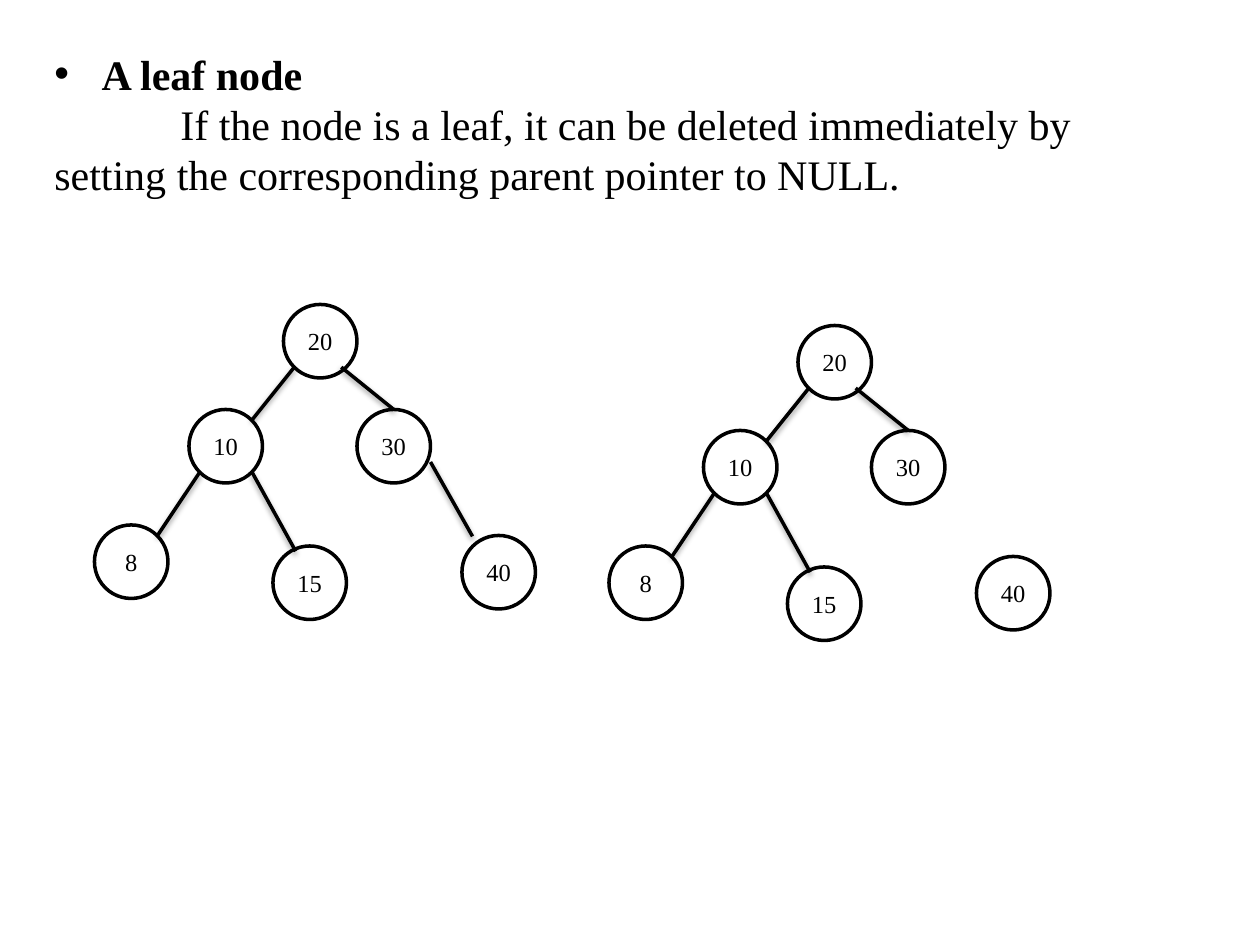
"""Build a slide on deleting a leaf node from a binary search tree."""
from lxml.etree import SubElement
from pptx import Presentation
from pptx.dml.color import RGBColor
from pptx.enum.shapes import MSO_CONNECTOR, MSO_SHAPE
from pptx.enum.text import MSO_ANCHOR, PP_ALIGN
from pptx.oxml.ns import qn
from pptx.util import Pt

COLORS = {"ink": "000000"}
FONT = "Times New Roman"
INK = RGBColor.from_string(COLORS["ink"])
SIZE = 42
NODES = [("20", 162, 174), ("10", 108, 234), ("30", 204, 234),
         ("8", 54, 300), ("15", 156, 312), ("40", 264, 306)]
EDGES = [(168.2, 209.8, 144, 240), (114.2, 269.8, 90, 306),
         (195, 209.8, 225, 234), (144, 269.8, 169, 315),
         (246, 264, 270, 306.5)]
TREES = [(0, 0, EDGES), (294, 12, EDGES[:-1])]


def style(par, size, bold=False):
    for run in par.runs:
        run.font.name = FONT
        run.font.size = Pt(size)
        run.font.bold = bold
        run.font.color.rgb = INK


deck = Presentation()
deck.slide_width, deck.slide_height = Pt(720), Pt(540)
slide = deck.slides.add_slide(deck.slide_layouts[6])

box = slide.shapes.add_textbox(Pt(24), Pt(24), Pt(648), Pt(108))
frame = box.text_frame
frame.word_wrap = True
head = frame.paragraphs[0]
head.text = "A leaf node"
style(head, 24, True)
props = head._p.get_or_add_pPr()
props.set("marL", str(Pt(27)))
props.set("indent", str(-Pt(27)))
SubElement(props, qn("a:buFont")).set("typeface", "Arial")
SubElement(props, qn("a:buChar")).set("char", "•")
body = frame.add_paragraph()
body.text = ("\tIf the node is a leaf, it can be deleted immediately by "
             "setting the corresponding parent pointer to NULL.")
style(body, 24)
tabs = SubElement(body._p.get_or_add_pPr(), qn("a:tabLst"))
stop = SubElement(tabs, qn("a:tab"))
stop.set("pos", str(Pt(72)))
stop.set("algn", "l")

for dx, dy, edges in TREES:
    for label, left, top in NODES:
        node = slide.shapes.add_shape(
            MSO_SHAPE.OVAL, Pt(left + dx), Pt(top + dy), Pt(SIZE), Pt(SIZE))
        node.shadow.inherit = False
        node.fill.background()
        node.line.color.rgb = INK
        node.line.width = Pt(2)
        node.text_frame.text = label
        node.text_frame.vertical_anchor = MSO_ANCHOR.MIDDLE
        par = node.text_frame.paragraphs[0]
        par.alignment = PP_ALIGN.CENTER
        style(par, 14)
    for x1, y1, x2, y2 in edges:
        edge = slide.shapes.add_connector(
            MSO_CONNECTOR.STRAIGHT, Pt(x1 + dx), Pt(y1 + dy),
            Pt(x2 + dx), Pt(y2 + dy))
        edge.line.color.rgb = INK
        edge.line.width = Pt(2)

deck.save("out.pptx")
